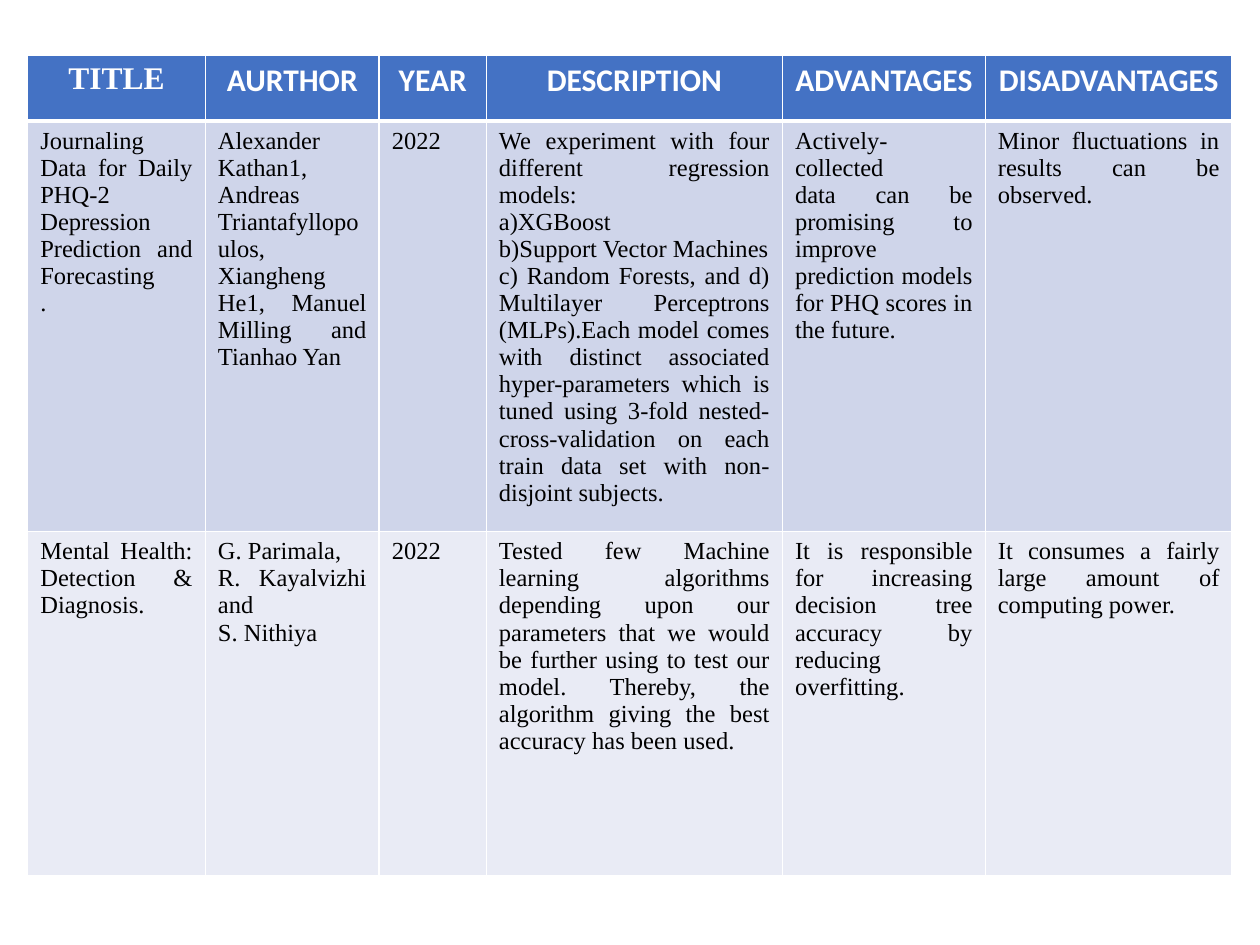
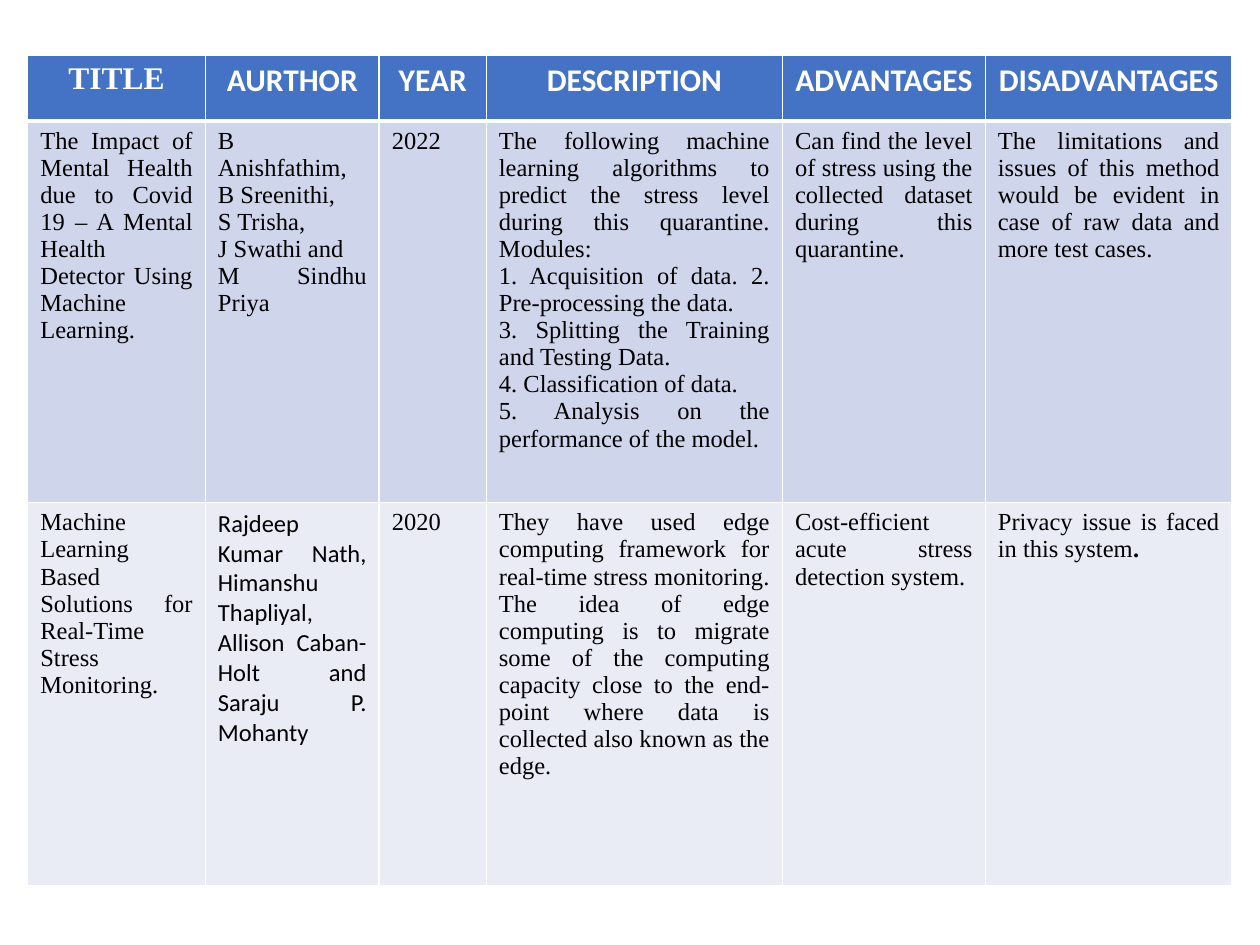
from dataclasses import dataclass

from lxml import etree
from pptx import Presentation
from pptx import util as u
from pptx.dml.color import RGBColor
from pptx.enum import text
from pptx.oxml import ns

EMU_PER_PX = 9144


@dataclass(frozen=True)
class Theme:
    header_fill: str = "4472C4"
    row_fills: tuple = ("CFD5EA", "E9EBF5")
    rule: str = "FFFFFF"
    header_ink: str = "FFFFFF"
    body_ink: str = "000000"
    serif: str = "Times New Roman"
    sans: str = "Calibri"
    header_size: int = 18
    body_size: int = 14
    thin: int = 1
    thick: int = 3


@dataclass(frozen=True)
class Entry:
    words: str
    font: str = Theme.serif
    bold_end: str = ""


def px(length):
    return u.Emu(length * EMU_PER_PX)


class Deck:
    def __init__(self, theme, width, height):
        self.theme = theme
        self.slide = None
        self.presentation = Presentation()
        self.presentation.slide_width = px(width)
        self.presentation.slide_height = px(height)

    def add_slide(self):
        blank = self.presentation.slide_layouts[6]
        self.slide = self.presentation.slides.add_slide(blank)

    def borders(self, cell, top, bottom):
        properties = cell._tc.get_or_add_tcPr()
        widths = {"L": self.theme.thin, "R": self.theme.thin, "T": top, "B": bottom}
        for side, points in widths.items():
            edge = etree.SubElement(properties, ns.qn(f"a:ln{side}"), w=str(u.Pt(points)))
            fill = etree.SubElement(edge, ns.qn("a:solidFill"))
            etree.SubElement(fill, ns.qn("a:srgbClr"), val=self.theme.rule)

    def fill_cell(self, cell, entry, fill, ink, size, align, bold=False):
        cell.fill.solid()
        cell.fill.fore_color.rgb = RGBColor.from_string(fill)
        cell.text_frame.text = entry.words
        ending = None
        if entry.bold_end:
            ending = cell.text_frame.paragraphs[-1].add_run()
            ending.text = entry.bold_end
        for paragraph in cell.text_frame.paragraphs:
            paragraph.alignment = align
            for run in paragraph.runs:
                run.font.name = entry.font
                run.font.size = u.Pt(size)
                run.font.bold = bold
                run.font.color.rgb = RGBColor.from_string(ink)
        if ending:
            ending.font.bold = True

    def table(self, left, top, columns, heights, headings, studies):
        theme = self.theme
        frame = self.slide.shapes.add_table(
            len(heights), len(columns), px(left), px(top), px(sum(columns)), px(sum(heights)))
        grid = frame.table
        for column, width in zip(grid.columns, columns):
            column.width = px(width)
        for row, height in zip(grid.rows, heights):
            row.height = px(height)
        for cell, heading in zip(grid.rows[0].cells, headings):
            self.borders(cell, theme.thin, theme.thick)
            self.fill_cell(cell, heading, theme.header_fill, theme.header_ink,
                           theme.header_size, text.PP_ALIGN.CENTER, bold=True)
        for index, study in enumerate(studies):
            fill = theme.row_fills[index % len(theme.row_fills)]
            above = theme.thin if index else theme.thick
            for cell, fact in zip(grid.rows[index + 1].cells, study):
                entry = fact if isinstance(fact, Entry) else Entry(fact)
                self.borders(cell, above, theme.thin)
                self.fill_cell(cell, entry, fill, theme.body_ink,
                               theme.body_size, text.PP_ALIGN.JUSTIFY)


COLUMNS = (141, 138, 85, 235, 161, 196)
HEADER_HEIGHT = 52
HEADINGS = [Entry("TITLE")] + [
    Entry(label, Theme.sans)
    for label in ("AURTHOR", "YEAR", "DESCRIPTION", "ADVANTAGES", "DISADVANTAGES")
]

SURVEY = [
    ((326, 273), [
        (
            "Journaling Data for Daily PHQ-2 Depression Prediction and Forecasting\n.",
            "Alexander Kathan1, Andreas Triantafyllopoulos, Xiangheng He1, "
            "Manuel Milling and Tianhao Yan",
            "2022",
            "We experiment with four different regression models:\n"
            "a)XGBoost\n"
            "b)Support Vector Machines\n"
            "c) Random Forests, and d) Multilayer Perceptrons (MLPs).Each model comes "
            "with distinct associated hyper-parameters which is tuned using 3-fold "
            "nested-cross-validation on each train data set with non-disjoint subjects.",
            "Actively-collected\n"
            "data can be promising to improve prediction models for PHQ scores in the future.",
            "Minor fluctuations in results can be observed.",
        ),
        (
            "Mental Health: Detection & Diagnosis.",
            "G. Parimala,\nR. Kayalvizhi and\nS. Nithiya",
            "2022",
            "Tested few Machine learning algorithms depending upon our parameters that we "
            "would be further using to test our model. Thereby, the algorithm giving the "
            "best accuracy has been used.",
            "It is responsible for increasing decision tree accuracy by reducing overfitting.",
            "It consumes a fairly large amount of computing power.",
        ),
    ]),
    ((303, 304), [
        (
            "The Impact of Mental Health due to Covid 19 – A Mental Health Detector "
            "Using Machine Learning.",
            "B Anishfathim, B Sreenithi,\nS Trisha,\nJ Swathi and\nM Sindhu Priya",
            "2022",
            "The following machine learning algorithms to predict the stress level during "
            "this quarantine. Modules: \n"
            "1. Acquisition of data. 2. Pre-processing the data.\n"
            "3. Splitting the Training and Testing Data.\n"
            "4. Classification of data.\n"
            "5. Analysis on the performance of the model.",
            "Can find the level of stress using the collected dataset during this quarantine.",
            "The limitations and issues of this method would be evident in case of raw data "
            "and more test cases.",
        ),
        (
            "Machine Learning Based\nSolutions for Real-Time\nStress Monitoring.",
            Entry("Rajdeep Kumar Nath, Himanshu Thapliyal, Allison Caban-Holt and "
                  "Saraju P. Mohanty", Theme.sans),
            "2020",
            "They have used edge computing framework for real-time stress monitoring. The "
            "idea of edge computing is to migrate some of the computing capacity close to "
            "the end-point where data is collected also known as the edge.",
            "Cost-efficient acute stress detection system.",
            Entry("Privacy issue is faced in this system", bold_end="."),
        ),
    ]),
]


def main():
    deck = Deck(Theme(), 1000, 750)
    for study_heights, studies in SURVEY:
        deck.add_slide()
        deck.table(22, 44, COLUMNS, (HEADER_HEIGHT, *study_heights), HEADINGS, studies)
    deck.presentation.save("out.pptx")


if __name__ == "__main__":
    main()
